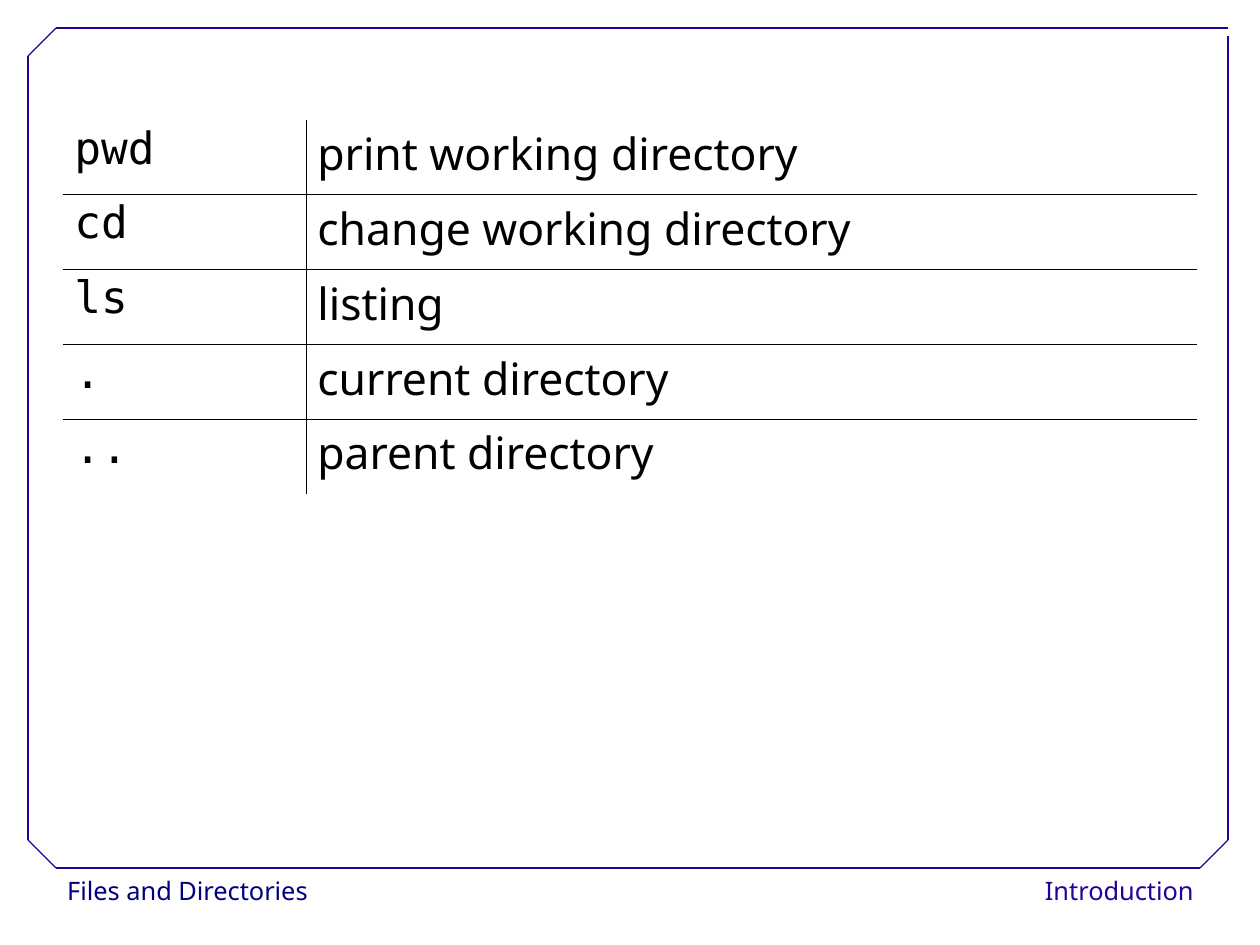
from lxml.etree import SubElement
from pptx import Presentation
from pptx.dml.color import RGBColor
from pptx.enum.shapes import MSO_CONNECTOR
from pptx.enum.text import MSO_ANCHOR, PP_ALIGN
from pptx.oxml import parse_xml
from pptx.oxml.ns import nsdecls, qn
from pptx.util import Pt

PX = 8000  # 45 px to the centimetre
WIDTH, HEIGHT = 1260, 945  # 28 by 21 cm

BLACK = RGBColor(0x00, 0x00, 0x00)
WHITE = RGBColor(0xFF, 0xFF, 0xFF)
NAVY = RGBColor(0x00, 0x00, 0x80)
VIOLET = RGBColor(0x28, 0x00, 0x99)

TEXT_FONT = "Noto Sans"
CODE_FONT = "DejaVu Sans Mono"

COMMANDS = [
    ("pwd", "print working directory"),
    ("cd", "change working directory"),
    ("ls", "listing"),
    (".", "current directory"),
    ("..", "parent directory"),
]


def px(*lengths):
    return [length * PX for length in lengths]


def format_paragraph(paragraph, font_name, size, colour, line_spacing):
    paragraph.line_spacing = line_spacing
    paragraph.font.name = font_name
    paragraph.font.size = Pt(size)
    paragraph.font.color.rgb = colour


def add_footer_label(slide, box, wording, colour, alignment):
    label = slide.shapes.add_textbox(*px(*box))
    label.fill.solid()
    label.fill.fore_color.rgb = WHITE
    label.text_frame.word_wrap = False
    label.text_frame.text = wording
    paragraph = label.text_frame.paragraphs[0]
    paragraph.alignment = alignment
    format_paragraph(paragraph, TEXT_FONT, 16, colour, 1.02)


def add_frame(slide, left, top, width, height):
    """Draw the border: three cut corners and an open one at top right."""
    cut, gap = 28, 8
    right, bottom = left + width, top + height
    edges = [
        (left + cut, bottom, right - cut, bottom),
        (left, bottom - cut, left, top + cut),
        (left + cut, top, right, top),
        (right, bottom - cut, right, top + gap),
        (left, top + cut, left + cut, top),
        (right - cut, bottom, right, bottom - cut),
        (left, bottom - cut, left + cut, bottom),
    ]
    for edge in edges:
        line = slide.shapes.add_connector(MSO_CONNECTOR.STRAIGHT, *px(*edge))
        line.line.color.rgb = VIOLET
        line.line.width = Pt(0.75)
        SubElement(line._element.spPr, qn("a:effectLst"))


def set_borders(cell, sides):
    """Rule the sides given as True and clear the others."""
    properties = cell._tc.get_or_add_tcPr()
    for position, side in enumerate("LRTB"):
        if sides[side]:
            paint = f'<a:solidFill><a:srgbClr val="{BLACK}"/></a:solidFill>'
        else:
            paint = "<a:noFill/>"
        border = f'<a:ln{side} {nsdecls("a")} w="{Pt(0.45)}">{paint}</a:ln{side}>'
        properties.insert(position, parse_xml(border))


def add_command_table(slide, left, top, width, height):
    command_width = 243
    last_row = len(COMMANDS) - 1
    table = slide.shapes.add_table(
        len(COMMANDS), 2, *px(left, top, width, height)).table
    table.first_row = table.horz_banding = False
    table.columns[0].width, table.columns[1].width = px(
        command_width, width - command_width)
    for row, entry in enumerate(COMMANDS):
        for column, (wording, font_name) in enumerate(
                zip(entry, (CODE_FONT, TEXT_FONT))):
            cell = table.cell(row, column)
            cell.text = wording
            cell.vertical_anchor = MSO_ANCHOR.TOP
            cell.fill.background()
            paragraph = cell.text_frame.paragraphs[0]
            paragraph.space_after = Pt(14.3)
            format_paragraph(paragraph, font_name, 28, BLACK, 0.93)
            set_borders(cell, {"L": column == 1, "R": column == 0,
                               "T": row > 0, "B": row < last_row})


def main():
    presentation = Presentation()
    presentation.slide_width, presentation.slide_height = px(WIDTH, HEIGHT)
    slide = presentation.slides.add_slide(presentation.slide_layouts[6])
    add_footer_label(slide, (56, 869, 266, 46), "Files and Directories",
                     NAVY, PP_ALIGN.LEFT)
    add_footer_label(slide, (1028, 869, 177, 46), "Introduction",
                     VIOLET, PP_ALIGN.RIGHT)
    add_frame(slide, 28, 28, 1200, 840)
    add_command_table(slide, 63, 120, 1134, 374)
    presentation.save("out.pptx")


if __name__ == "__main__":
    main()
